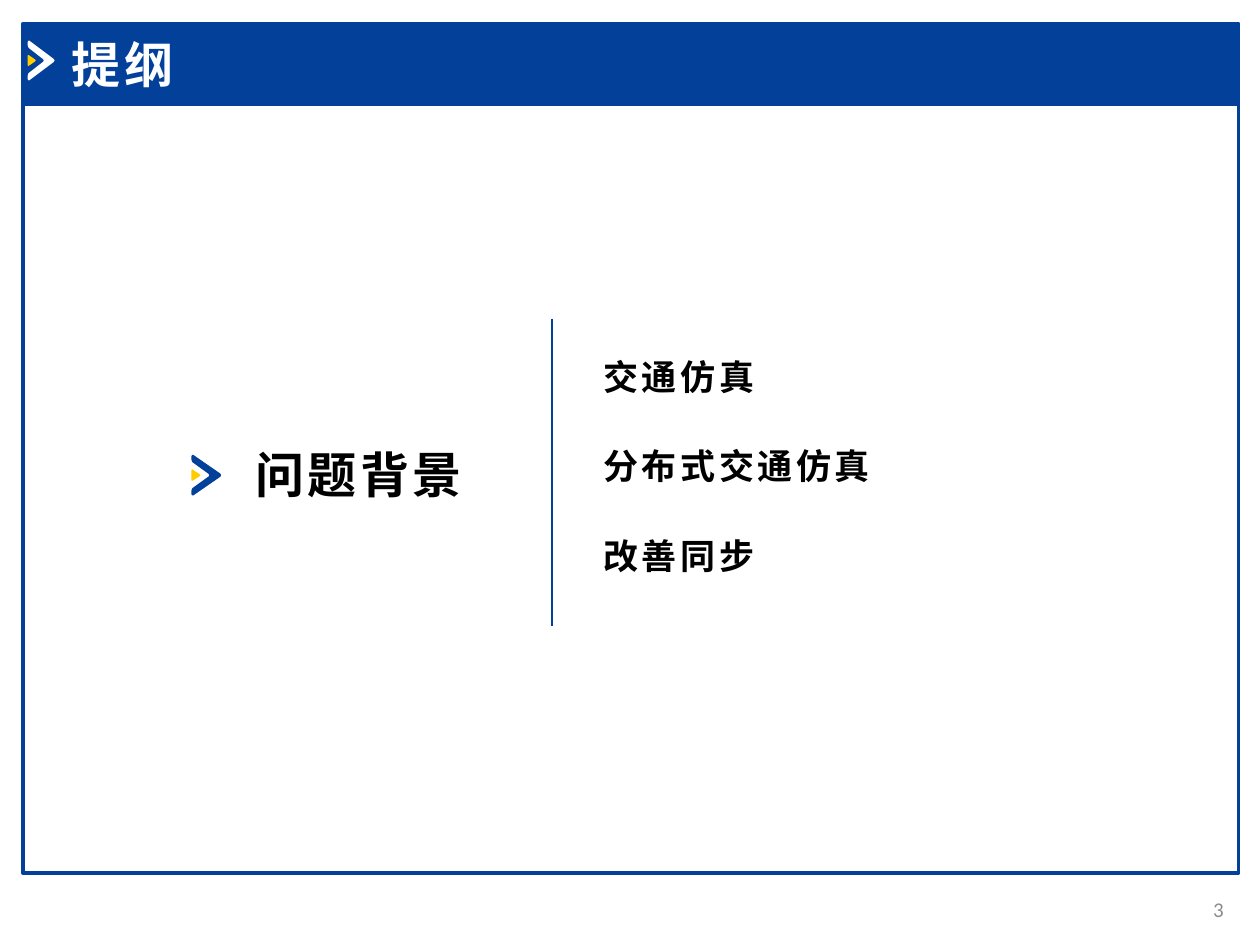
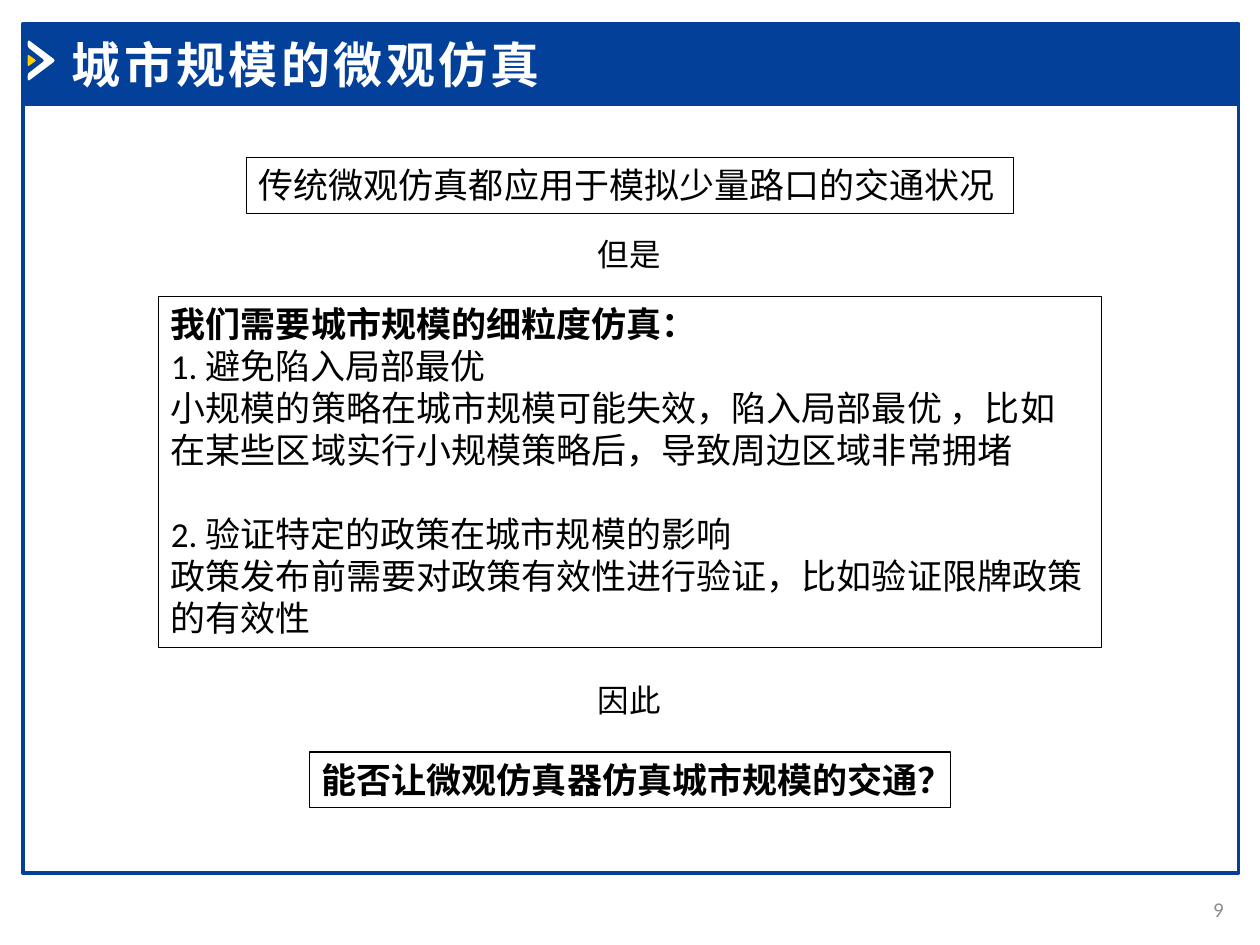
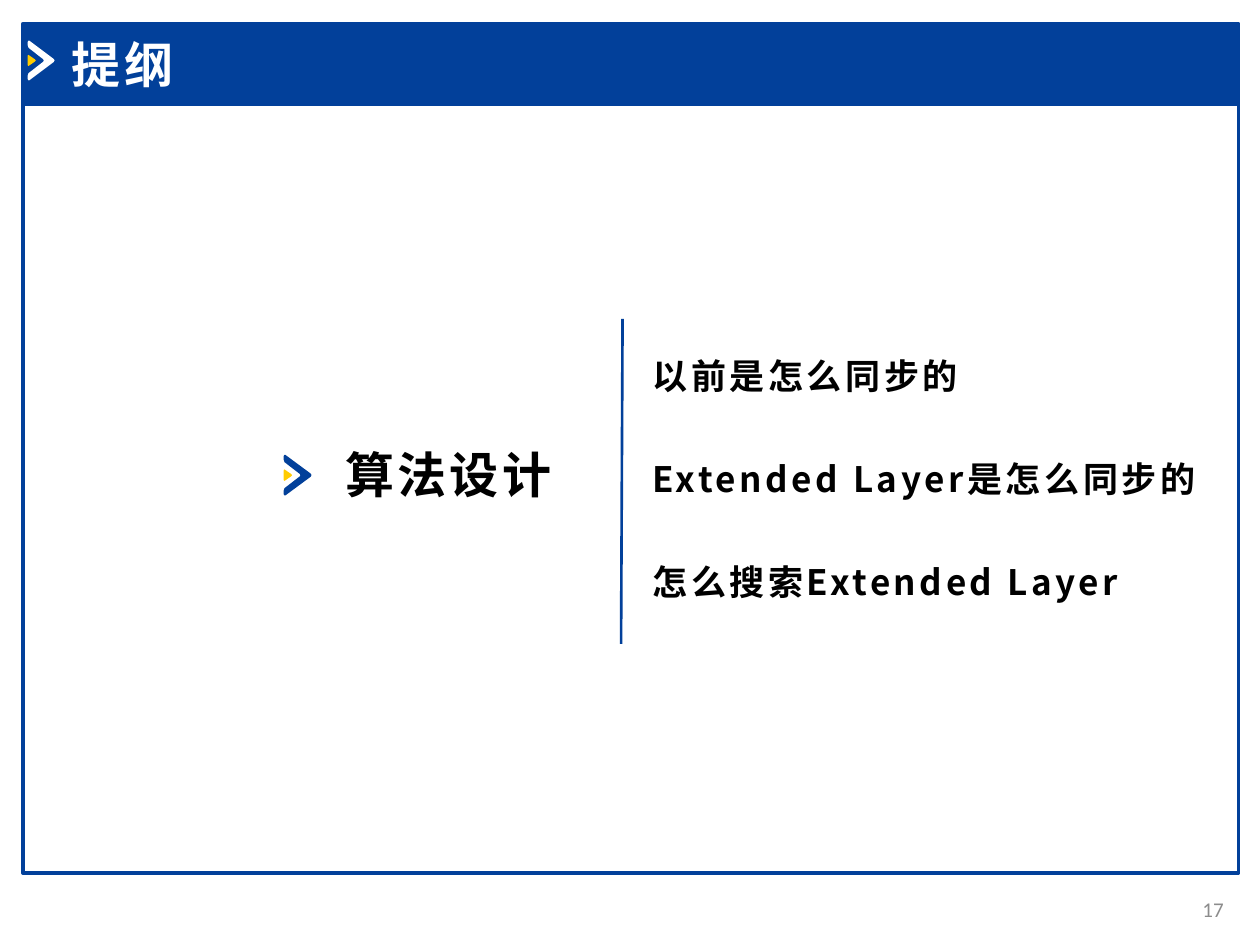
from dataclasses import dataclass

from lxml import etree
from pptx import Presentation
from pptx import util as u
from pptx.dml.color import RGBColor
from pptx.enum import shapes, text
from pptx.oxml import ns
from pptx.shapes.base import BaseShape
from pptx.slide import Slide
from pptx.text.text import TextFrame


@dataclass(frozen=True)
class TextStyle:
    size: float
    color: str = "000000"
    font: str = "Calibri"
    bold: bool = False
    tracking: float = 0


@dataclass(frozen=True)
class Theme:
    blue: str = "02409A"
    yellow: str = "FFCC00"
    white: str = "FFFFFF"
    black: str = "000000"
    cjk_font: str = "Noto Sans CJK SC"
    title: TextStyle = TextStyle(28, "FFFFFF", bold=True, tracking=2)
    section: TextStyle = TextStyle(28, font="Noto Sans CJK SC", bold=True, tracking=2)
    item: TextStyle = TextStyle(20, font="Noto Sans CJK SC", bold=True, tracking=2)
    statement: TextStyle = TextStyle(20)
    emphasis: TextStyle = TextStyle(20, bold=True)
    connective: TextStyle = TextStyle(18)
    number: TextStyle = TextStyle(12, "8C8C8C")


@dataclass(frozen=True)
class Box:
    """A rectangle in centimetres."""
    left: float
    top: float
    width: float
    height: float

    def lengths(self) -> tuple[u.Cm, u.Cm, u.Cm, u.Cm]:
        return u.Cm(self.left), u.Cm(self.top), u.Cm(self.width), u.Cm(self.height)


@dataclass(frozen=True)
class Line:
    text: str
    style: TextStyle
    space_before: float = 0


@dataclass(frozen=True)
class Outline:
    number: int
    section: str
    section_box: Box
    icon: Box
    divider: tuple[float, float, float, float]
    items: tuple[str, ...]
    items_box: Box
    item_gap: float


@dataclass(frozen=True)
class Step:
    """A horizontally centred single-line text of the argument."""
    text: str
    style: TextStyle
    top: float
    width: float
    height: float
    framed: bool


THEME = Theme()
SLIDE_WIDTH, SLIDE_HEIGHT = 25.4, 19.05
FRAME = Box(0.46, 2.11, 24.51, 15.49)
BAND = Box(0.46, 0.48, 24.51, 1.63)
HEADER_ICON = Box(0.56, 0.82, 0.54, 0.8)
TITLE = Box(1.19, 0.56, 10.5, 1.45)
NUMBER = Box(23.42, 17.81, 1.5, 1.02)

# Outlines in percent of the icon part's width and height
CHEVRON = ((0, 3), (3, 0), (6, 0), (97, 46), (100, 50), (97, 54), (6, 100), (3, 100),
           (0, 97), (0, 88), (3, 82), (58, 53), (60, 50), (58, 47), (3, 18), (0, 12))
ARROWHEAD = ((0, 8), (6, 0), (14, 2), (90, 40), (100, 50), (90, 60), (14, 98), (6, 100), (0, 92))

OUTLINES = (
    Outline(3, "问题背景", Box(4.9, 8.84, 5.82, 1.45), Box(3.86, 9.17, 0.6, 0.82),
            (11.13, 6.43, 11.13, 12.62), ("交通仿真", "分布式交通仿真", "改善同步"),
            Box(11.91, 7.04, 12.75, 4.7), 27),
    Outline(17, "算法设计", Box(6.71, 8.84, 5.46, 1.45), Box(5.72, 9.17, 0.56, 0.82),
            (12.55, 6.43, 12.52, 12.98),
            ("以前是怎么同步的", "Extended Layer是怎么同步的", "怎么搜索Extended Layer"),
            Box(12.9, 7.01, 12.01, 5.31), 35),
)

STEPS = (
    Step("传统微观仿真都应用于模拟少量路口的交通状况", THEME.statement, 3.18, 15.47, 1.12, True),
    Step("但是", THEME.connective, 4.62, 1.8, 1.02, False),
    Step("因此", THEME.connective, 13.61, 1.8, 1.02, False),
    Step("能否让微观仿真器仿真城市规模的交通？", THEME.emphasis, 15.16, 12.93, 1.12, True),
)
NEEDS = (
    Line("我们需要城市规模的细粒度仿真：", THEME.emphasis),
    Line("1. 避免陷入局部最优", THEME.statement),
    Line("小规模的策略在城市规模可能失效，陷入局部最优 ，比如在某些区域实行小规模策略后，"
         "导致周边区域非常拥堵", THEME.statement),
    Line("2. 验证特定的政策在城市规模的影响", THEME.statement, space_before=24),
    Line("政策发布前需要对政策有效性进行验证，比如验证限牌政策的有效性", THEME.statement),
)


def color(value: str) -> RGBColor:
    return RGBColor.from_string(value)


def centred(top: float, width: float, height: float) -> Box:
    return Box((SLIDE_WIDTH - width) / 2, top, width, height)


def write(frame: TextFrame, *lines: Line, align=text.PP_ALIGN.LEFT,
          anchor=text.MSO_ANCHOR.TOP) -> None:
    frame.word_wrap = True
    frame.auto_size = text.MSO_AUTO_SIZE.NONE
    frame.vertical_anchor = anchor
    for index, line in enumerate(lines):
        paragraph = frame.paragraphs[0] if index == 0 else frame.add_paragraph()
        paragraph.text = line.text
        properties = paragraph._p.get_or_add_pPr()
        properties.set("marL", "0")
        properties.set("indent", "0")
        etree.SubElement(properties, ns.qn("a:buNone"))
        paragraph.alignment = align
        paragraph.space_before = u.Pt(line.space_before)
        style_paragraph(paragraph.font, line.style)


def style_paragraph(font, style: TextStyle) -> None:
    font.size = u.Pt(style.size)
    font.bold = style.bold
    font.name = style.font
    font.color.rgb = color(style.color)
    font._element.set("spc", str(int(style.tracking * 100)))
    east_asian = etree.SubElement(font._element, ns.qn("a:ea"))
    east_asian.set("typeface", THEME.cjk_font)


def place(shape: BaseShape, box: Box) -> None:
    shape.left, shape.top, shape.width, shape.height = box.lengths()


def add_text(slide: Slide, box: Box, line: Line, **layout) -> BaseShape:
    shape = slide.shapes.add_textbox(*box.lengths())
    write(shape.text_frame, line, **layout)
    return shape


def outline_box(shape: BaseShape) -> None:
    shape.line.color.rgb = color(THEME.black)
    shape.line.width = u.Pt(0.75)


def add_panel(slide: Slide, box: Box, filled: bool) -> BaseShape:
    panel = slide.shapes.add_shape(shapes.MSO_SHAPE.RECTANGLE, *box.lengths())
    panel.shadow.inherit = False
    if filled:
        panel.fill.solid()
        panel.fill.fore_color.rgb = color(THEME.blue)
    else:
        panel.fill.background()
    panel.line.color.rgb = color(THEME.blue)
    panel.line.width = u.Pt(2)
    return panel


def add_outline(slide: Slide, points: tuple, box: Box, fill: str) -> BaseShape:
    left, top, width, height = box.lengths()
    builder = slide.shapes.build_freeform(*points[0], scale=(width / 100, height / 100))
    builder.add_line_segments(points[1:], close=True)
    shape = builder.convert_to_shape(left, top)
    shape.shadow.inherit = False
    shape.fill.solid()
    shape.fill.fore_color.rgb = color(fill)
    shape.line.fill.background()
    return shape


def add_icon(slide: Slide, box: Box, fill: str) -> list[BaseShape]:
    """Draw a chevron with a small yellow arrowhead centred at its left edge."""
    height = box.height * 0.28
    head = Box(box.left, box.top + (box.height - height) / 2, box.width * 0.3, height)
    return [add_outline(slide, CHEVRON, box, fill),
            add_outline(slide, ARROWHEAD, head, THEME.yellow)]


def add_divider(slide: Slide, ends: tuple[float, float, float, float]) -> None:
    divider = slide.shapes.add_connector(shapes.MSO_CONNECTOR.STRAIGHT, *map(u.Cm, ends))
    divider.line.color.rgb = color(THEME.blue)
    divider.line.width = u.Pt(1.5)
    etree.SubElement(divider.element.spPr, ns.qn("a:effectLst"))


def decorate_master(presentation) -> None:
    """Draw the frame on a slide, then hand its shapes over to the slide master."""
    slide = presentation.slides[0]
    parts = [add_panel(slide, FRAME, False), add_panel(slide, BAND, True),
             *add_icon(slide, HEADER_ICON, THEME.white)]
    for shape_id, part in enumerate(parts, start=101):
        part.element.xpath("./p:nvSpPr/p:cNvPr")[0].set("id", str(shape_id))
        presentation.slide_master.shapes.element.append(part.element)


def add_slide(presentation, title: str, number: int) -> Slide:
    slide = presentation.slides.add_slide(presentation.slide_layouts[1])
    place(slide.shapes.title, TITLE)
    write(slide.shapes.title.text_frame, Line(title, THEME.title))
    add_text(slide, NUMBER, Line(str(number), THEME.number),
             align=text.PP_ALIGN.RIGHT, anchor=text.MSO_ANCHOR.MIDDLE)
    return slide


def add_outline_slide(presentation, outline: Outline) -> None:
    slide = add_slide(presentation, "提纲", outline.number)
    add_text(slide, outline.section_box, Line(outline.section, THEME.section))
    add_icon(slide, outline.icon, THEME.blue)
    add_divider(slide, outline.divider)
    body = slide.placeholders[1]
    place(body, outline.items_box)
    write(body.text_frame, *(Line(item, THEME.item, outline.item_gap if index else 0)
                             for index, item in enumerate(outline.items)))


def add_argument_slide(presentation) -> None:
    slide = add_slide(presentation, "城市规模的微观仿真", 9)
    body = slide.placeholders[1]
    place(body, centred(5.97, 19.02, 7.09))
    outline_box(body)
    write(body.text_frame, *NEEDS)
    for step in STEPS:
        shape = add_text(slide, centred(step.top, step.width, step.height),
                         Line(step.text, step.style))
        if step.framed:
            outline_box(shape)


def main() -> None:
    presentation = Presentation()
    presentation.slide_width = u.Cm(SLIDE_WIDTH)
    presentation.slide_height = u.Cm(SLIDE_HEIGHT)
    background, algorithm = OUTLINES
    add_outline_slide(presentation, background)
    add_argument_slide(presentation)
    add_outline_slide(presentation, algorithm)
    decorate_master(presentation)
    presentation.save("out.pptx")


if __name__ == "__main__":
    main()
